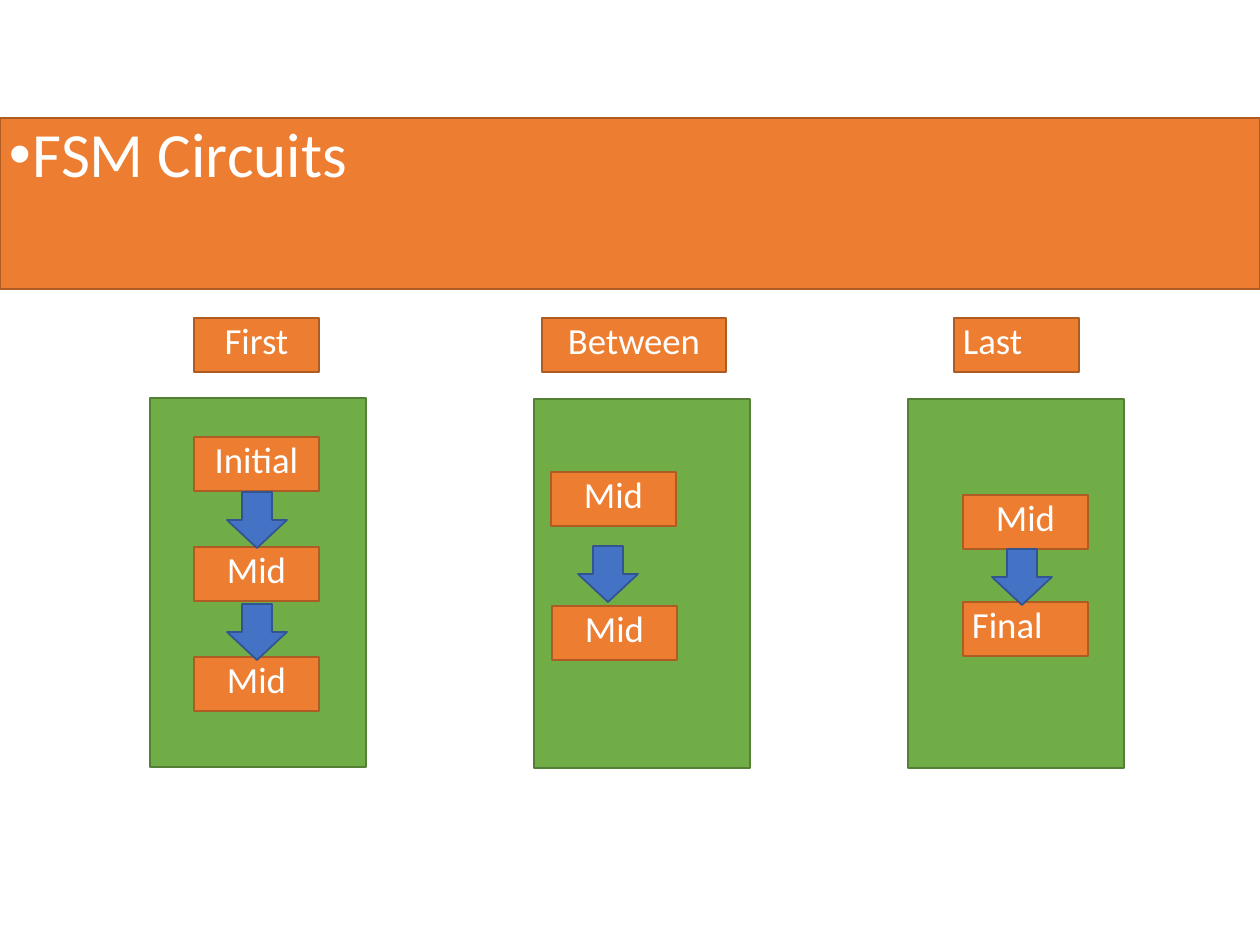
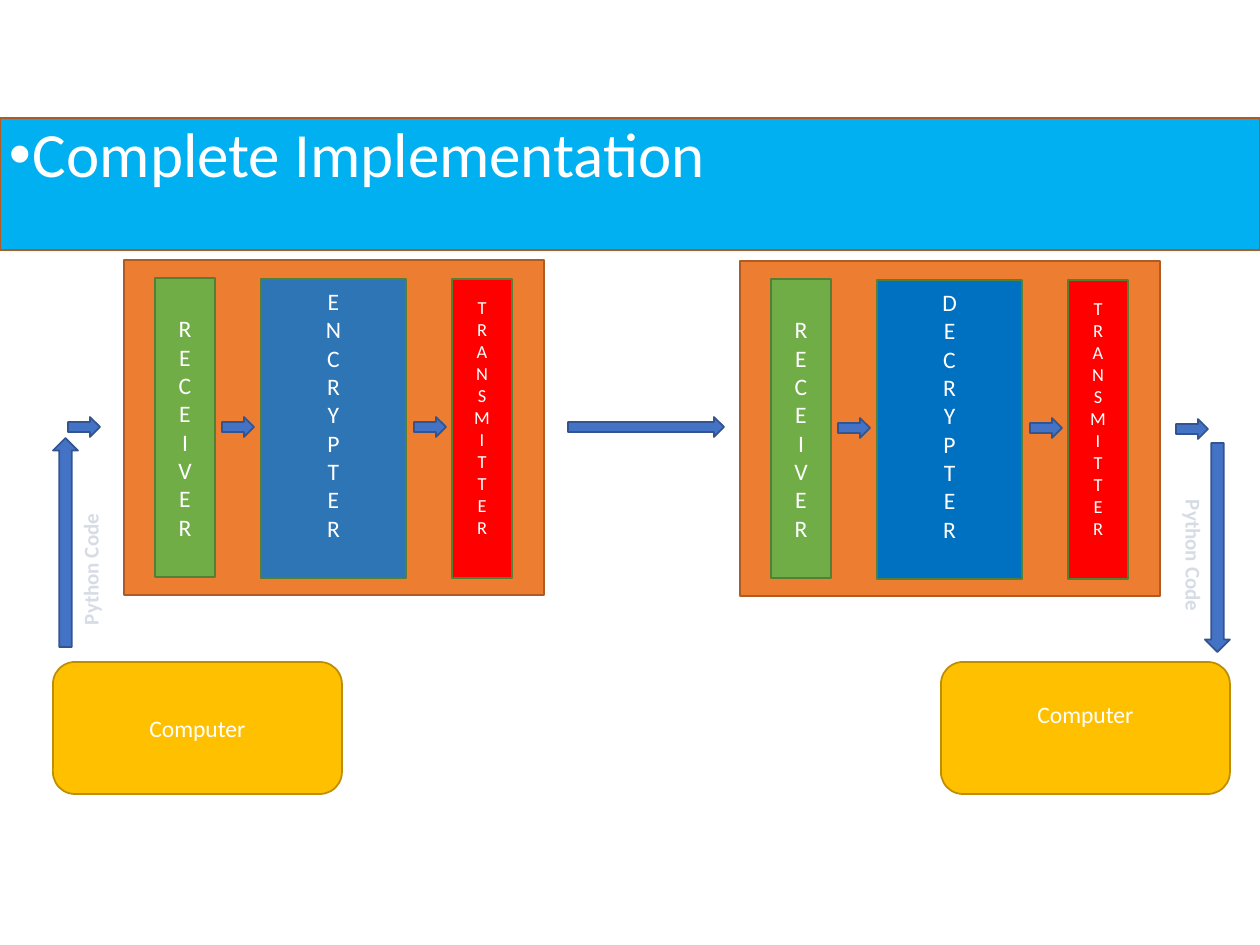
from dataclasses import dataclass

from lxml import etree
from pptx import Presentation
from pptx.dml.color import RGBColor
from pptx.enum.dml import MSO_PATTERN
from pptx.enum.shapes import MSO_SHAPE
from pptx.enum.text import MSO_ANCHOR, MSO_AUTO_SIZE, PP_ALIGN
from pptx.oxml.ns import qn
from pptx.util import Emu, Pt

RECT = MSO_SHAPE.RECTANGLE
ROUND_RECT = MSO_SHAPE.ROUNDED_RECTANGLE
DOWN = MSO_SHAPE.DOWN_ARROW
RIGHT = MSO_SHAPE.RIGHT_ARROW
TOP, MIDDLE = MSO_ANCHOR.TOP, MSO_ANCHOR.MIDDLE
LEFT, CENTER = PP_ALIGN.LEFT, PP_ALIGN.CENTER
DIAGONAL = MSO_PATTERN.DARK_UPWARD_DIAGONAL
NO_FIT, FIT_SHAPE = MSO_AUTO_SIZE.NONE, MSO_AUTO_SIZE.SHAPE_TO_FIT_TEXT
TITLE_ONLY = 5
PX_PER_INCH = 126
WIDTH, HEIGHT = 10 * PX_PER_INCH, 945


@dataclass(frozen=True)
class Theme:
    font: str = "Calibri"
    title_size: float = 36
    chip_size: float = 21
    body_size: float = 13.5
    note_size: float = 12
    small_size: float = 10.5
    white: str = "FFFFFF"
    orange: str = "ED7D31"
    orange_line: str = "AF5C24"
    green: str = "70AD47"
    green_line: str = "538035"
    blue: str = "4472C4"
    blue_line: str = "325491"
    steel: str = "2E75B6"
    deep_blue: str = "0070C0"
    sky: str = "00B0F0"
    red: str = "FF0000"
    gold: str = "FFC000"
    gold_line: str = "BD8E00"
    slate: str = "44546A"
    mist: str = "D6DCE5"
    ink: str = "333F50"


def px(n):
    return Emu(round(n * 914400 / PX_PER_INCH))


def rgb(value):
    return RGBColor.from_string(value)


class Deck:
    def __init__(self, theme):
        self.theme = theme
        self.prs = Presentation()
        self.prs.slide_width, self.prs.slide_height = px(WIDTH), px(HEIGHT)
        self.slide = None

    def paint(self, sp, fill, line):
        sp.fill.solid()
        sp.fill.fore_color.rgb = rgb(fill)
        sp.line.color.rgb = rgb(line)
        sp.line.width = Pt(1)

    def insets(self, tf, x, y, bottom_extra=0):
        tf.margin_left = tf.margin_right = px(x)
        tf.margin_top, tf.margin_bottom = px(y), px(y + bottom_extra)

    def add_lines(self, tf, lines, size, align=CENTER, anchor=TOP):
        tf.vertical_anchor = anchor
        for i, line in enumerate(lines):
            p = tf.add_paragraph() if i else tf.paragraphs[0]
            p.alignment = align
            r = p.add_run()
            r.text = line
            r.font.name, r.font.size = self.theme.font, Pt(size)
            r.font.color.rgb = rgb(self.theme.white)
        return p

    def tighten(self, p):
        p.line_spacing, p.space_before = 0.9, Pt(7.5)

    def new_slide(self, title, height, fill):
        self.slide = self.prs.slides.add_slide(self.prs.slide_layouts[TITLE_ONLY])
        sp = self.slide.shapes.title
        sp.left, sp.top, sp.width, sp.height = px(0), px(118), px(WIDTH), px(height)
        self.paint(sp, fill, self.theme.orange_line)
        tf = sp.text_frame
        tf.auto_size = NO_FIT
        self.insets(tf, 9, 5)
        p = self.add_lines(tf, [title], self.theme.title_size, LEFT)
        self.tighten(p)
        pPr = p._p.get_or_add_pPr()
        pPr.set("marL", str(px(24)))
        pPr.set("indent", str(-px(24)))
        etree.SubElement(pPr, qn("a:buFont")).set("typeface", "Arial")
        etree.SubElement(pPr, qn("a:buChar")).set("char", "•")

    def shape(self, kind, x, y, w, h, fill, line):
        sp = self.slide.shapes.add_shape(kind, px(x), px(y), px(w), px(h))
        sp.shadow.inherit = False
        self.paint(sp, fill, line)
        return sp

    def panel(self, x, y, w, h, fill, line):
        return self.shape(RECT, x, y, w, h, fill, line)

    def chip(self, text, x, y, w=125, align=CENTER):
        t = self.theme
        tf = self.panel(x, y, w, 54, t.orange, t.orange_line).text_frame
        self.insets(tf, 9, 5)
        self.tighten(self.add_lines(tf, [text], t.chip_size, align))

    def arrow(self, kind, x, y, w, h, rotation=0):
        sp = self.shape(kind, x, y, w, h, self.theme.blue, self.theme.blue_line)
        sp.rotation = rotation

    def tower(self, word, x, y, w, fill, size, lift=0):
        tf = self.panel(x, y, w, 299, fill, self.theme.green_line).text_frame
        self.insets(tf, 13, 6, lift)
        self.add_lines(tf, word, size, anchor=MIDDLE)

    def computer(self, x, lift=0):
        t = self.theme
        tf = self.shape(ROUND_RECT, x, 662, 289, 132, t.gold, t.gold_line).text_frame
        self.insets(tf, 13, 6, lift)
        self.add_lines(tf, ["Computer"], t.body_size, anchor=MIDDLE)

    def note(self, text, x, y, rotation):
        t = self.theme
        sp = self.slide.shapes.add_textbox(px(x), px(y), px(132), px(35))
        sp.rotation = rotation
        tf = sp.text_frame
        tf.word_wrap, tf.auto_size = False, FIT_SHAPE
        self.insets(tf, 9, 5)
        r = self.add_lines(tf, [text], t.note_size).runs[0]
        r.font.bold = True
        fill = r.font.fill
        fill.patterned()
        fill.pattern = DIAGONAL
        fill.fore_color.rgb, fill.back_color.rgb = rgb(t.slate), rgb(t.mist)
        ln = etree.Element(qn("a:ln"), w=str(Pt(1)))
        solid = etree.SubElement(ln, qn("a:solidFill"))
        etree.SubElement(solid, qn("a:srgbClr")).set("val", t.ink)
        r._r.get_or_add_rPr().insert(0, ln)


def fsm_circuits(deck):
    t = deck.theme
    deck.new_slide("FSM Circuits", 171, t.orange)
    for x, y in ((150, 398), (534, 399), (908, 399)):
        deck.panel(x, y, 216, 369, t.green, t.green_line)
    for text, x, w, align in (("First", 194, 125, CENTER), ("Between", 542, 184, CENTER),
                              ("Last", 954, 125, LEFT)):
        deck.chip(text, x, 318, w, align)
    for i, state in enumerate(("Initial", "Mid", "Mid")):
        deck.chip(state, 194, 437 + 110 * i)
    for x, y in ((551, 472), (552, 606), (963, 495)):
        deck.chip("Mid", x, y)
    deck.chip("Final", 963, 602, align=LEFT)
    for x, y in ((227, 492), (227, 604), (578, 546), (992, 549)):
        deck.arrow(DOWN, x, y, 60, 56)


def station(deck, x, y, word, fill):
    t = deck.theme
    deck.panel(x, y, 420, 335, t.orange, t.orange_line)
    deck.tower("RECEIVER", x + 31, y + 18, 60, t.green, t.body_size)
    deck.tower(word, x + 137, y + 19, 145, fill, t.body_size, 28)
    deck.tower("TRANSMITTER", x + 328, y + 19, 60, t.red, t.small_size, 22)
    for dx in (98, 290):
        deck.arrow(RIGHT, x + dx, y + 157, 32, 20)


def complete_implementation(deck):
    t = deck.theme
    deck.new_slide("Complete Implementation", 132, t.sky)
    station(deck, 124, 260, "ENCRYPTER", t.steel)
    station(deck, 740, 261, "DECRYPTER", t.deep_blue)
    for x, y, w in ((68, 417, 32), (568, 417, 156), (1176, 419, 32)):
        deck.arrow(RIGHT, x, y, w, 20)
    deck.arrow(DOWN, 53, 438, 25, 209, 180)
    deck.arrow(DOWN, 1205, 443, 25, 209)
    deck.computer(53)
    deck.computer(941, 28)
    deck.note("Python Code", 24, 552, 270)
    deck.note("Python Code", 1128, 538, 90)


def main():
    deck = Deck(Theme())
    fsm_circuits(deck)
    complete_implementation(deck)
    deck.prs.save("out.pptx")


if __name__ == "__main__":
    main()
